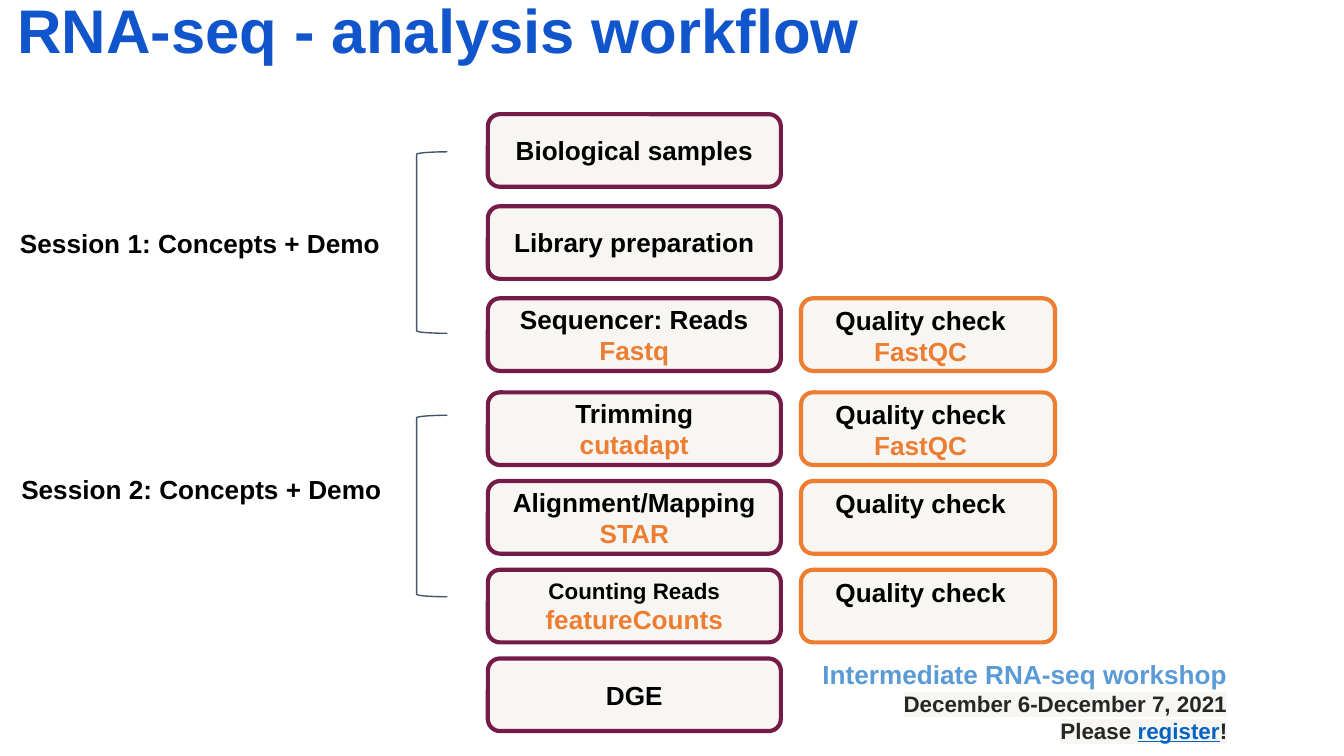
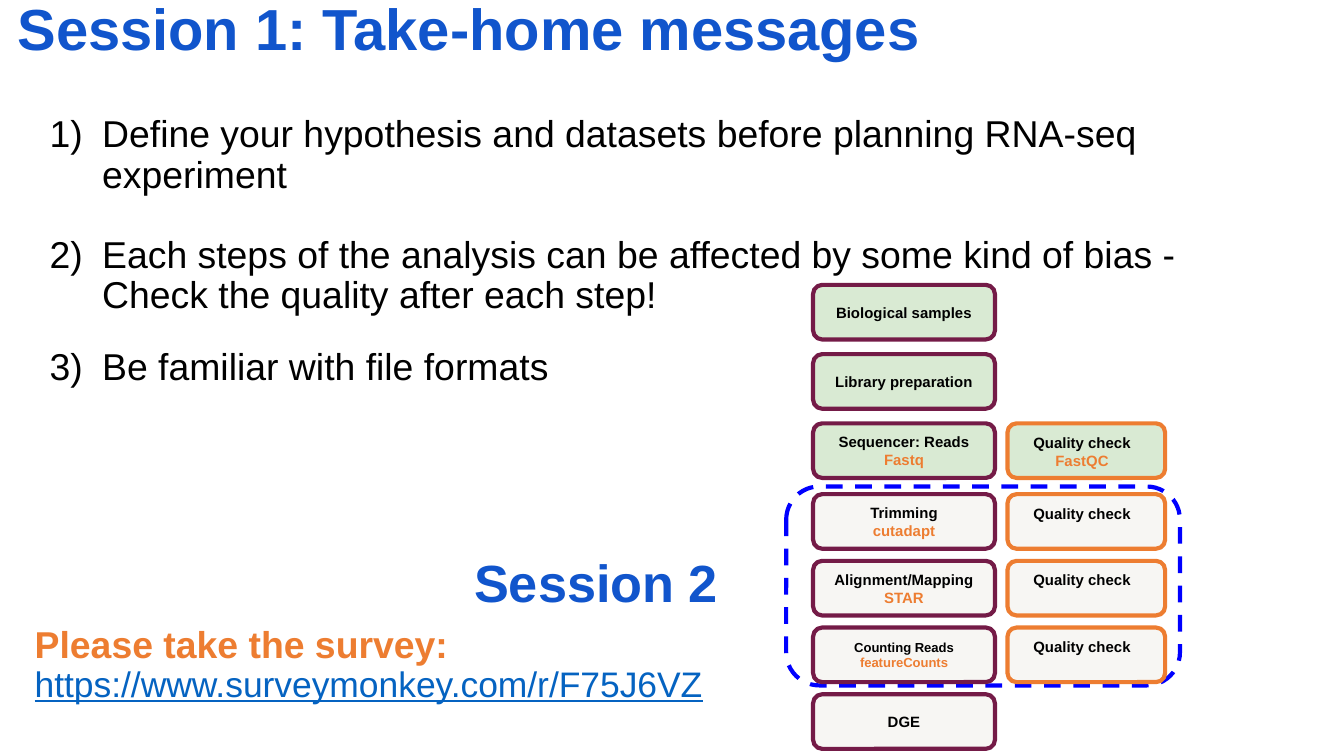
from dataclasses import dataclass

from lxml.etree import SubElement
from pptx import Presentation
from pptx.dml.color import RGBColor
from pptx.enum.dml import MSO_LINE
from pptx.enum.shapes import MSO_SHAPE as Shape
from pptx.enum.text import MSO_ANCHOR as Anchor, MSO_AUTO_SIZE as AutoSize, PP_ALIGN as Align
from pptx.oxml.ns import qn
from pptx.util import Inches, Pt

COLORS = {
    "title": "1155CC", "text": "000000", "date": "262626", "link": "0563C1",
    "workshop": "5B9BD5", "orange": "ED7D31", "plum": "741B47", "bracket": "44546A",
    "pale": "F7F6F3", "green": "D9EAD3", "session": "0000FF",
}
FONT = "Arial"
LINE_HEIGHT = 1.15
CORNER_INSET = 0.05

STEPS = [
    ("Biological samples", None), ("Library preparation", None),
    ("Sequencer: Reads", "Fastq"), ("Trimming", "cutadapt"),
    ("Alignment/Mapping", "STAR"), ("Counting Reads", "featureCounts"), ("DGE", None),
]
FIRST_CHECK, LAST_CHECK = 2, 5
SESSION_1_STEPS = 3


@dataclass
class Box:
    left: float
    top: float
    width: float
    height: float

    def inches(self):
        return [Inches(v) for v in (self.left, self.top, self.width, self.height)]


@dataclass
class Span:
    text: str
    size: float
    color: str = "text"
    bold: bool = True
    underline: bool = False
    highlight: str = ""


def rgb(name):
    return RGBColor.from_string(COLORS[name])


def write(frame, lines, align=Align.LEFT, spacing=1.0, inset=0.1):
    frame.word_wrap = True
    frame.auto_size = AutoSize.NONE
    frame.margin_left = frame.margin_right = Inches(inset)
    frame.margin_top = frame.margin_bottom = Inches(inset)
    for index, spans in enumerate(lines):
        para = frame.paragraphs[0] if index == 0 else frame.add_paragraph()
        para.alignment = align
        para.line_spacing = spacing
        para.space_before = Pt(0)
        for span in spans:
            run = para.add_run()
            run.text = span.text
            font = run.font
            font.name, font.size = FONT, Pt(span.size)
            font.bold, font.underline = span.bold, span.underline
            font.color.rgb = rgb(span.color)
            if span.highlight:
                props = run._r.get_or_add_rPr()
                mark = SubElement(props, qn("a:highlight"))
                SubElement(mark, qn("a:srgbClr")).set("val", COLORS[span.highlight])
                props.find(qn("a:solidFill")).addnext(mark)


def add_text(page, box, lines, **style):
    write(page.shapes.add_textbox(*box.inches()).text_frame, lines, **style)


def place(holder, box):
    holder.left, holder.top, holder.width, holder.height = box.inches()
    holder.text_frame.vertical_anchor = Anchor.TOP


def add_title(page, text, size):
    title = page.shapes.title
    place(title, Box(0.13, 0, 8.62, 0.81))
    write(title.text_frame, [[Span(text, size, "title")]], spacing=0.9, inset=0)


def add_outline(page, kind, box, line, weight=2.25, fill=None):
    shape = page.shapes.add_shape(kind, *box.inches())
    shape.shadow.inherit = False
    if fill:
        shape.fill.solid()
        shape.fill.fore_color.rgb = rgb(fill)
    else:
        shape.fill.background()
    shape.line.color.rgb = rgb(line)
    shape.line.width = Pt(weight)
    return shape


def add_step(page, box, fill, lines):
    shape = add_outline(page, Shape.ROUNDED_RECTANGLE, box, "plum", fill=fill)
    shape.text_frame.vertical_anchor = Anchor.MIDDLE
    write(shape.text_frame, lines, align=Align.CENTER)


def add_check(page, box, fill, size, tool):
    shape = add_outline(page, Shape.ROUNDED_RECTANGLE, box, "orange", fill=fill)
    lines = [[Span("Quality check", size)]]
    if tool:
        lines.append([Span(tool, size, "orange")])
    frame = shape.text_frame
    write(frame, lines, align=Align.CENTER)
    frame.vertical_anchor = Anchor.TOP
    two_lines = 2 * size * LINE_HEIGHT / 72
    frame.margin_top = Inches((box.height - two_lines) / 2 - CORNER_INSET * box.height)
    frame.margin_right = Inches(0.1 + size / 130)


def add_workflow(page, box, size, count_sizes, done_fill, check_tools):
    across, down = box.width / 4.22, box.height / 4.6
    for index, (name, tool) in enumerate(STEPS):
        if index < SESSION_1_STEPS:
            offset, fill = 1.37 * index / 2, done_fill
        else:
            offset, fill = 2.07 + 0.66 * (index - SESSION_1_STEPS), "pale"
        top, height = box.top + offset * down, 0.54 * down
        name_size, tool_size = count_sizes if name == "Counting Reads" else (size, size)
        lines = [[Span(name, name_size)]]
        if tool:
            lines.append([Span(tool, tool_size, "orange")])
        add_step(page, Box(box.left, top, 2.18 * across, height), fill, lines)
        if FIRST_CHECK <= index <= LAST_CHECK:
            check = Box(box.left + 2.33 * across, top, 1.89 * across, height)
            add_check(page, check, fill, size, check_tools.get(name))


def add_session(page, box, label, label_top):
    add_text(page, Box(box.left, box.top + label_top, 3.42, 0.44), [[Span(label, 14)]])
    bracket_box = Box(box.left + box.width - 0.23, box.top, 0.23, box.height)
    bracket = add_outline(page, Shape.LEFT_BRACKET, bracket_box, "bracket", 0.75)
    bracket.adjustments[0] = 0.08


def add_takeaways(page, box, items):
    body = page.placeholders[1]
    place(body, box)
    write(body.text_frame, [[Span(text, 20, bold=False)] for text, _ in items], spacing=0.9)
    for para, (_, gap) in zip(body.text_frame.paragraphs, items):
        para.space_before = Pt(gap)
        props = para._p.get_or_add_pPr()
        props.set("marL", str(Inches(0.5)))
        props.set("indent", str(Inches(-0.39)))
        SubElement(props, qn("a:buFont")).set("typeface", FONT)
        SubElement(props, qn("a:buAutoNum")).set("type", "arabicParenR")


def build_workflow_page(deck):
    page = deck.slides.add_slide(deck.slide_layouts[5])
    add_title(page, "RNA-seq - analysis workflow", 33)
    add_text(page, Box(5.81, 4.8, 3.42, 0.84), [
        [Span("Intermediate RNA-seq workshop", 14, "workshop")],
        [Span("December 6-December 7, 2021", 12, "date", highlight="pale")],
        [Span("Please ", 12, "date", highlight="pale"),
         Span("register", 12, "link", underline=True, highlight="pale"),
         Span("!", 12, "date", highlight="pale")],
    ], align=Align.RIGHT)
    add_session(page, Box(0.05, 1.13, 3.28, 1.35), "Session 1: Concepts + Demo", 0.46)
    add_session(page, Box(0.06, 3.09, 3.27, 1.35), "Session 2: Concepts + Demo", 0.33)
    add_workflow(page, Box(3.63, 0.85, 4.22, 4.6), 14, (12, 14), "pale",
                 {"Sequencer: Reads": "FastQC", "Trimming": "FastQC"})


def build_messages_page(deck):
    page = deck.slides.add_slide(deck.slide_layouts[1])
    add_title(page, "Session 1: Take-home messages", 31)
    add_takeaways(page, Box(0.16, 0.76, 9.54, 2.57), [
        ("Define your hypothesis and datasets before planning RNA-seq experiment", 0),
        ("Each steps of the analysis can be affected by some kind of bias - "
         "Check the quality after each step!", 21.5),
        ("Be familiar with file formats", 17),
    ])
    add_text(page, Box(2.27, 4.05, 3.17, 0.63), [[Span("Session 2", 28, "title")]],
             align=Align.RIGHT, spacing=0.9)
    frame = add_outline(page, Shape.ROUNDED_RECTANGLE, Box(5.85, 3.62, 2.93, 1.48), "session")
    frame.line.dash_style = MSO_LINE.DASH
    add_workflow(page, Box(6.05, 2.12, 2.62, 3.46), 8, (7, 7), "green",
                 {"Sequencer: Reads": "FastQC"})
    add_text(page, Box(0.16, 4.56, 5.54, 1.08), [
        [Span("Please take the survey:", 20, "orange")],
        [Span("https://www.surveymonkey.com/r/F75J6VZ", 19, "link", bold=False, underline=True)],
    ], spacing=0.9)


def main():
    deck = Presentation()
    deck.slide_width = Inches(10)
    deck.slide_height = deck.slide_width * 9 // 16
    build_workflow_page(deck)
    build_messages_page(deck)
    deck.save("out.pptx")


if __name__ == "__main__":
    main()
